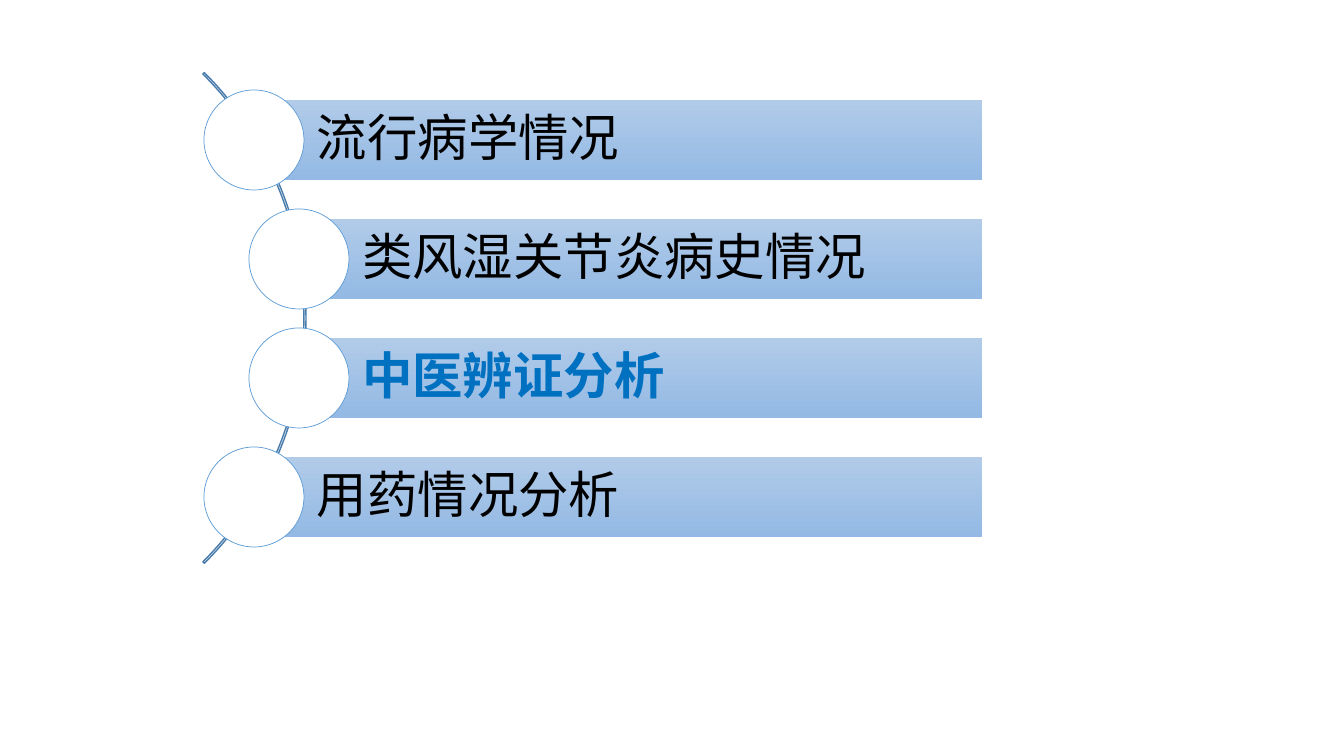
from pptx import Presentation
from pptx.dml.color import RGBColor
from pptx.enum.shapes import MSO_SHAPE
from pptx.enum.text import MSO_ANCHOR, PP_ALIGN
from pptx.util import Pt

# label, left edge of its bar in px, highlighted
TOPICS = [
    ("流行病学情况", 254, False),
    ("类风湿关节炎病史情况", 299, False),
    ("中医辨证分析", 299, True),
    ("用药情况分析", 254, False),
]

BLACK = RGBColor(0x00, 0x00, 0x00)
WHITE = RGBColor(0xFF, 0xFF, 0xFF)
HIGHLIGHT = RGBColor(0x00, 0x70, 0xC0)
ARC_BLUE = RGBColor(0x49, 0x7C, 0xAB)
RING_BLUE = RGBColor(0x5B, 0x9B, 0xD5)
BAR_TOP = RGBColor(0xB1, 0xCB, 0xE9)
BAR_BOTTOM = RGBColor(0x93, 0xB9, 0xE4)

SLIDE_WIDTH, SLIDE_HEIGHT = 1344, 756
EMU_PER_PX = 12192000 / SLIDE_WIDTH
BAR_RIGHT, BAR_HEIGHT = 982, 80
FIRST_CENTER, ROW_PITCH = 140, 119
CIRCLE_SIZE = 100
ARC_LEFT, ARC_TOP, ARC_SIZE = -388, -29, 694
ARC_ADJUSTMENTS = (189, 27, 0.003)
TEXT_INDENT, TEXT_MARGIN = 63, 10


def px(length):
    return round(length * EMU_PER_PX)


def add_shape(page, kind, left, top, width, height):
    shape = page.shapes.add_shape(kind, px(left), px(top), px(width), px(height))
    shape.shadow.inherit = False
    return shape


def set_line(shape, color, width):
    shape.line.color.rgb = color
    shape.line.width = Pt(width)


def add_arc(page):
    arc = add_shape(page, MSO_SHAPE.BLOCK_ARC, ARC_LEFT, ARC_TOP, ARC_SIZE, ARC_SIZE)
    for index, value in enumerate(ARC_ADJUSTMENTS):
        arc.adjustments[index] = value
    arc.fill.background()
    set_line(arc, ARC_BLUE, 1)


def add_bar(page, label, left, center, highlighted):
    bar = add_shape(page, MSO_SHAPE.RECTANGLE, left, center - BAR_HEIGHT / 2,
                    BAR_RIGHT - left, BAR_HEIGHT)
    bar.line.fill.background()
    bar.fill.gradient()
    bar.fill.gradient_angle = 270
    for stop, color in zip(bar.fill.gradient_stops, (BAR_TOP, BAR_BOTTOM)):
        stop.color.rgb = color

    frame = bar.text_frame
    frame.word_wrap = True
    frame.vertical_anchor = MSO_ANCHOR.MIDDLE
    frame.margin_left = px(TEXT_INDENT)
    frame.margin_top = frame.margin_right = frame.margin_bottom = px(TEXT_MARGIN)
    para = frame.paragraphs[0]
    para.text = label
    para.alignment = PP_ALIGN.LEFT
    para.line_spacing = 0.9
    para.font.name = "Calibri"
    para.font.size = Pt(36)
    para.font.bold = highlighted
    para.font.color.rgb = HIGHLIGHT if highlighted else BLACK


def add_circle(page, center_x, center_y):
    radius = CIRCLE_SIZE / 2
    circle = add_shape(page, MSO_SHAPE.OVAL, center_x - radius, center_y - radius,
                       CIRCLE_SIZE, CIRCLE_SIZE)
    circle.fill.solid()
    circle.fill.fore_color.rgb = WHITE
    set_line(circle, RING_BLUE, 0.5)


def main():
    deck = Presentation()
    deck.slide_width, deck.slide_height = px(SLIDE_WIDTH), px(SLIDE_HEIGHT)
    page = deck.slides.add_slide(deck.slide_layouts.get_by_name("Blank"))
    add_arc(page)
    for row, (label, left, highlighted) in enumerate(TOPICS):
        center = FIRST_CENTER + row * ROW_PITCH
        add_bar(page, label, left, center, highlighted)
        add_circle(page, left, center)
    deck.save("out.pptx")


if __name__ == "__main__":
    main()
